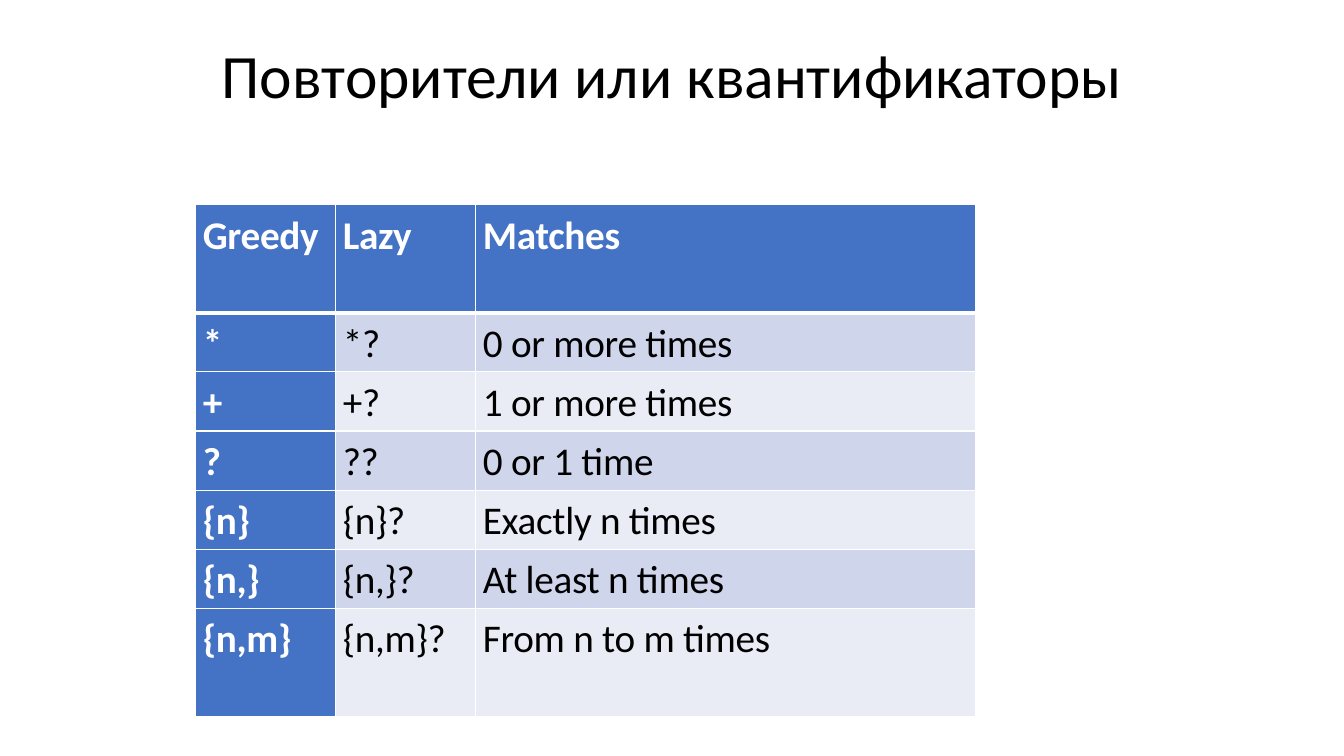
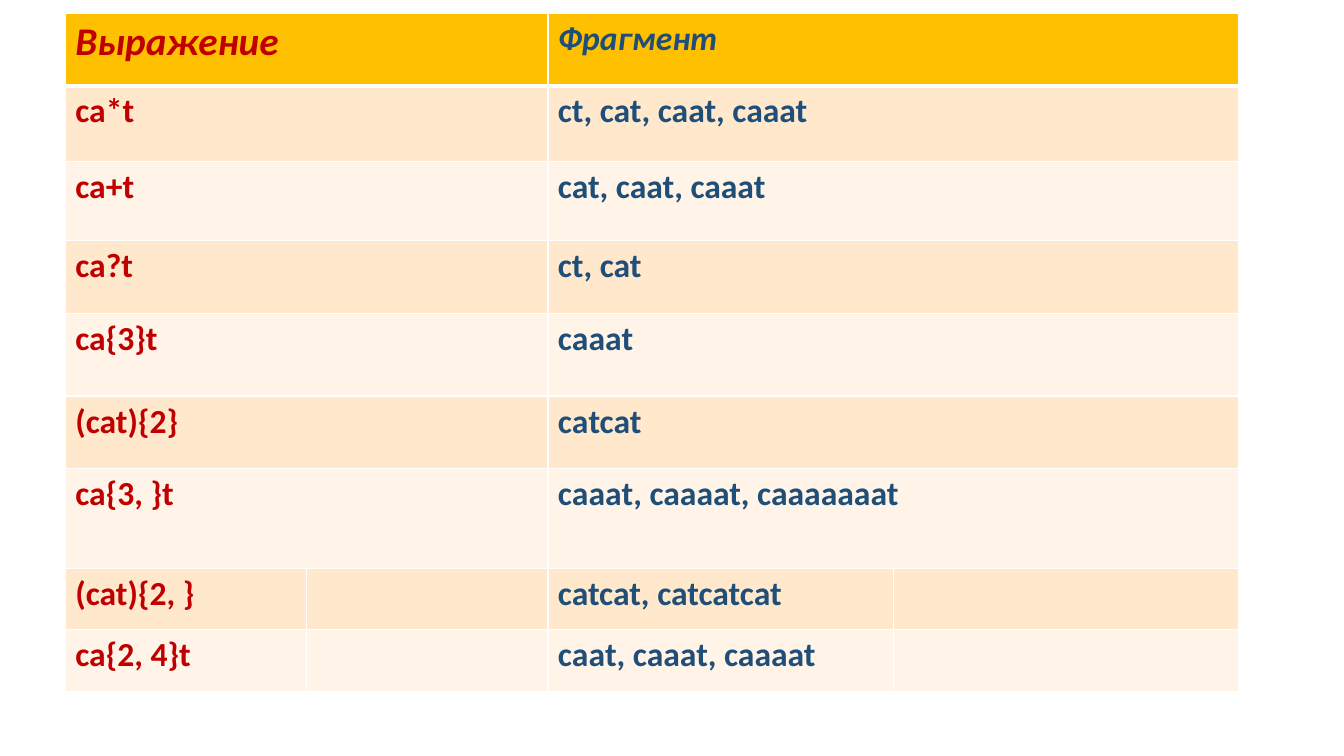
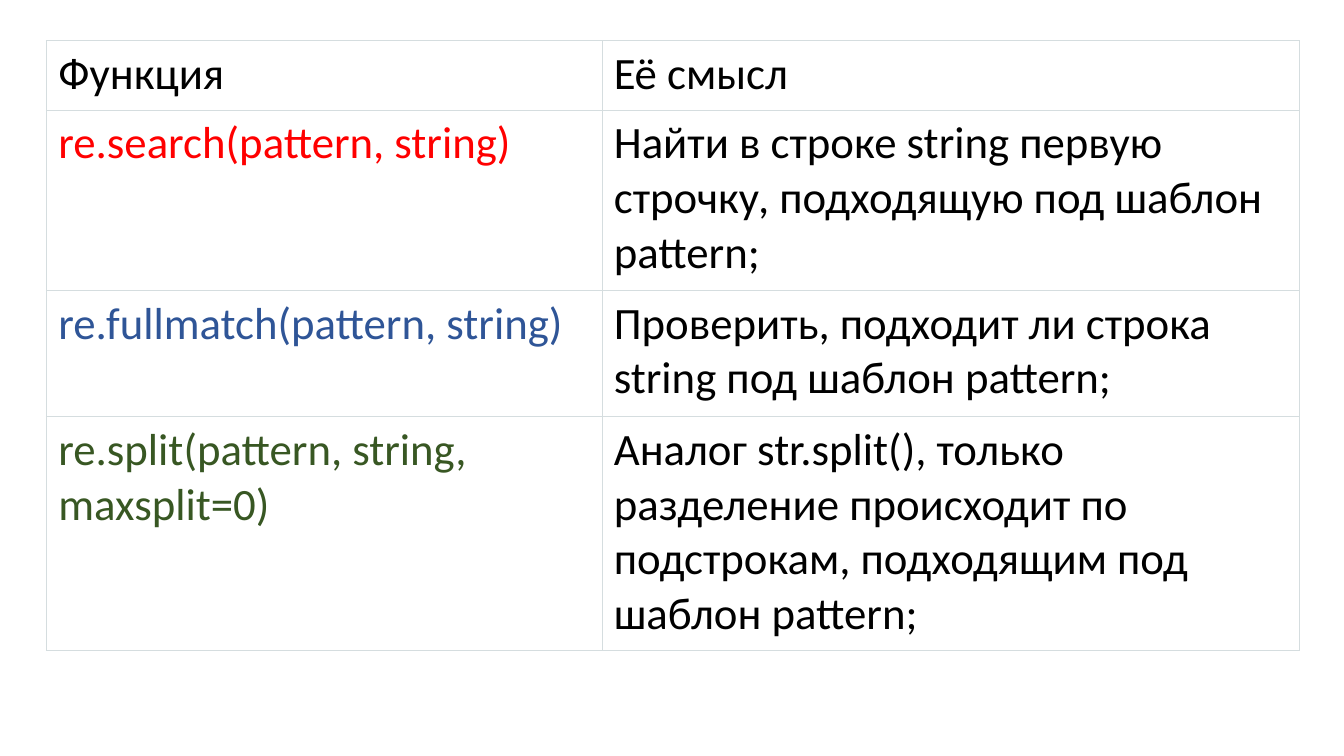
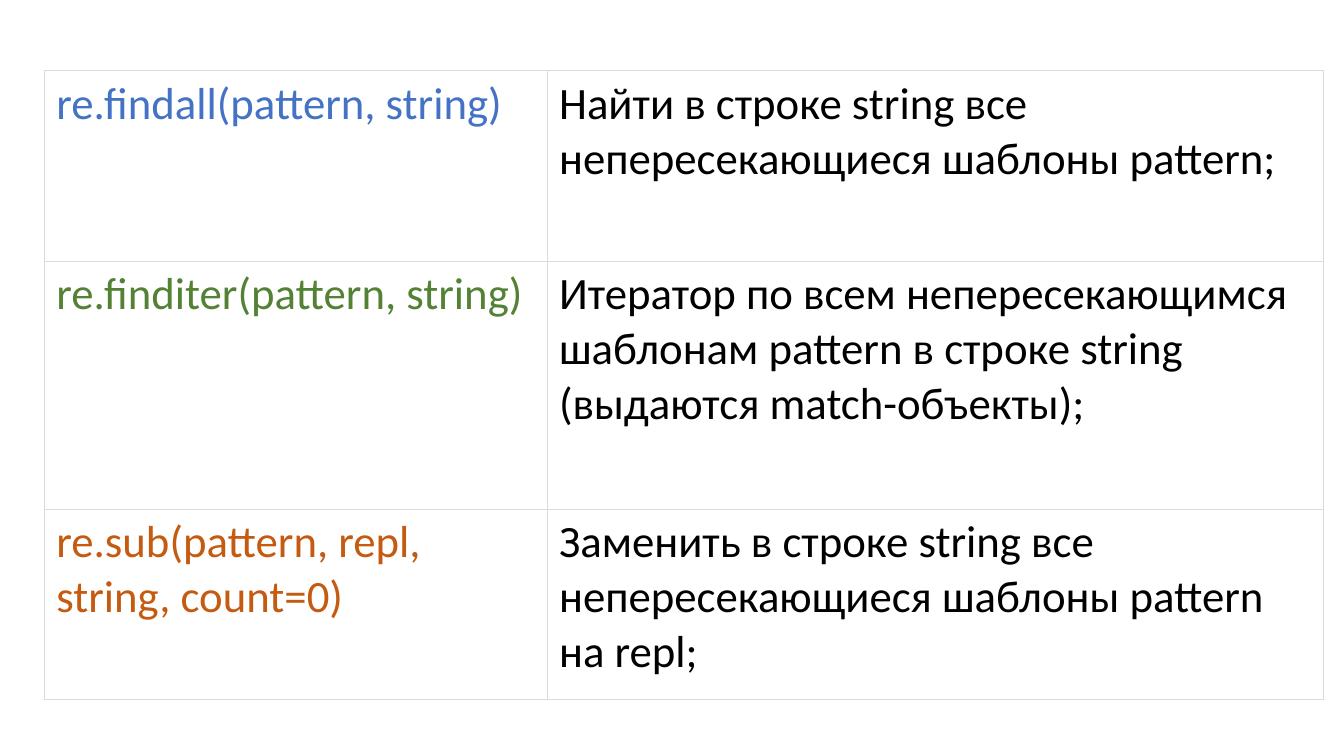
import dataclasses
import lxml.etree
import pptx
import pptx.dml.color
import pptx.enum.text
import pptx.oxml.ns
import pptx.util

Cm = pptx.util.Cm
Pt = pptx.util.Pt

FONT = "Calibri"
BLACK = "000000"
WHITE = "FFFFFF"
BLUE = "4472C4"
BLUE_BANDS = ("CFD5EA", "E9EBF5")
GOLD = "FFC000"
GOLD_BANDS = ("FFE8CC", "FFF4E7")
DARK_RED = "C00000"
NAVY = "1F4E79"
GREY_RULE = "D5DDDF"


@dataclasses.dataclass
class Look:
    rule_colour: str
    rule_width: float
    header_rule: float
    margins: tuple
    line_spacing: float = 1.0
    tracking: int = 0


@dataclasses.dataclass
class Entry:
    text: str
    fill: str
    colour: str
    font: dict


QUANTIFIER_LOOK = Look(WHITE, 1, 3, (0.18, 0, 0.18, 0), 1.15, -20)
EXAMPLE_LOOK = Look(WHITE, 1, 3, (0.25, 0.13, 0.25, 0.13))
FUNCTION_LOOK = Look(GREY_RULE, 0.75, 0.75, (0.3, 0.15, 0.3, 0.23))


def rgb(hex_colour):
    return pptx.dml.color.RGBColor.from_string(hex_colour)


def apply_format(target, values):
    for attribute, value in values.items():
        setattr(target, attribute, value)


def font_values(size, bold=False, italic=False):
    return {"name": FONT, "size": Pt(size), "bold": bold, "italic": italic}


def draw_rules(cell, colour, widths):
    properties = cell._tc.get_or_add_tcPr()
    for side, width in widths.items():
        rule = lxml.etree.SubElement(
            properties, pptx.oxml.ns.qn("a:ln" + side), w=str(Pt(width)))
        fill = lxml.etree.SubElement(rule, pptx.oxml.ns.qn("a:solidFill"))
        lxml.etree.SubElement(fill, pptx.oxml.ns.qn("a:srgbClr"), val=colour)


def fill_cell(cell, entry, look, row):
    left, top, right, bottom = (Cm(margin) for margin in look.margins)
    apply_format(cell, {
        "margin_left": left, "margin_top": top,
        "margin_right": right, "margin_bottom": bottom,
        "vertical_anchor": pptx.enum.text.MSO_ANCHOR.TOP,
    })
    draw_rules(cell, look.rule_colour, {
        "L": look.rule_width,
        "R": look.rule_width,
        "T": look.header_rule if row == 1 else look.rule_width,
        "B": look.header_rule if row == 0 else look.rule_width,
    })
    cell.fill.solid()
    cell.fill.fore_color.rgb = rgb(entry.fill)
    if not entry.text:
        return
    paragraph = cell.text_frame.paragraphs[0]
    paragraph.line_spacing = look.line_spacing
    run = paragraph.add_run()
    run.text = entry.text
    apply_format(run.font, entry.font)
    run.font.color.rgb = rgb(entry.colour)
    if look.tracking:
        run.font._element.set("spc", str(look.tracking))


def add_grid(slide, left, top, widths, heights, entries, look):
    grid = slide.shapes.add_table(
        len(heights), len(widths), Cm(left), Cm(top),
        Cm(sum(widths)), Cm(sum(heights))).table
    apply_format(grid, {"first_row": False, "horz_banding": False})
    for column, width in zip(grid.columns, widths):
        column.width = Cm(width)
    for row, height in zip(grid.rows, heights):
        row.height = Cm(height)
    for r, row_entries in enumerate(entries):
        for c, entry in enumerate(row_entries):
            fill_cell(grid.cell(r, c), entry, look, r)
    return grid


def add_heading(slide, text, left, top, width, height):
    heading = slide.shapes.title
    apply_format(heading, {"left": Cm(left), "top": Cm(top),
                           "width": Cm(width), "height": Cm(height)})
    heading.text_frame.text = text
    apply_format(heading.text_frame, {
        "word_wrap": True,
        "vertical_anchor": pptx.enum.text.MSO_ANCHOR.TOP,
    })
    paragraph = heading.text_frame.paragraphs[0]
    apply_format(paragraph, {"alignment": pptx.enum.text.PP_ALIGN.CENTER,
                             "line_spacing": 0.9})
    apply_format(paragraph.font, font_values(44))
    paragraph.font.color.rgb = rgb(BLACK)


def add_quantifiers(slide, left, top):
    rows = [
        ("Greedy", "Lazy", "Matches"),
        ("*", "*?", "0 or more times"),
        ("+", "+?", "1 or more times"),
        ("?", "??", "0 or 1 time"),
        ("{n}", "{n}?", "Exactly n times"),
        ("{n,}", "{n,}?", "At least n times"),
        ("{n,m}", "{n,m}?", "From n to m times"),
    ]
    entries = []
    for r, texts in enumerate(rows):
        band = BLUE_BANDS[(r - 1) % 2]
        entries.append([
            Entry(text, BLUE, WHITE, font_values(28, bold=True))
            if r == 0 or c == 0
            else Entry(text, band, BLACK, font_values(28))
            for c, text in enumerate(texts)])
    heights = [2.72] + [1.49] * 5 + [2.72]
    add_grid(slide, left, top, [3.53, 3.53, 12.6], heights, entries,
             QUANTIFIER_LOOK)


def add_examples(slide, left, top):
    rows = [
        ("Выражение", "Фрагмент"),
        ("ca*t", "ct, cat, caat, caaat"),
        ("ca+t", "cat, caat, caaat"),
        ("ca?t", "ct, cat"),
        ("ca{3}t", "cаааt"),
        ("(cat){2}", "cаtcat"),
        ("ca{3, }t", "cаааt, caaaat, caaaaaaat"),
        ("(cat){2, }", "catcat, catcatcat"),
        ("ca{2, 4}t", "cааt, caaat, caaaat"),
    ]
    entries = []
    for r, (expression, fragment) in enumerate(rows):
        header = r == 0
        fill = GOLD if header else GOLD_BANDS[(r - 1) % 2]
        font = font_values(24, bold=True, italic=header)
        expression_font = dict(font, size=Pt(28 if header else 24))
        blank = Entry("", fill, BLACK, font)
        entries.append([Entry(expression, fill, DARK_RED, expression_font),
                        blank, Entry(fragment, fill, NAVY, font), blank])
    heights = [1.83, 1.9, 2.01, 1.83, 2.08, 1.83, 2.51, 1.55, 1.55]
    grid = add_grid(slide, left, top, [6.08, 6.08, 8.7, 8.7], heights,
                    entries, EXAMPLE_LOOK)
    for r in range(7):
        for c in (0, 2):
            grid.cell(r, c).merge(grid.cell(r, c + 1))


def add_functions(slide, left, top, widths, heights, rows):
    font = font_values(32)
    entries = [[Entry(function, WHITE, colour, font),
                Entry(meaning, WHITE, BLACK, font)]
               for function, colour, meaning in rows]
    add_grid(slide, left, top, widths, heights, entries, FUNCTION_LOOK)


def main():
    deck = pptx.Presentation()
    apply_format(deck, {"slide_width": Cm(33.87), "slide_height": Cm(19.05)})
    title_only, blank = deck.slide_layouts[5], deck.slide_layouts[6]

    quantifiers = deck.slides.add_slide(title_only)
    add_heading(quantifiers, "Повторители или квантификаторы",
                2.34, 1.02, 29.21, 3.68)
    add_quantifiers(quantifiers, 4.93, 5.16)

    add_examples(deck.slides.add_slide(blank), 1.65, 0.33)

    add_functions(
        deck.slides.add_slide(blank), 1.17, 1.02, [14, 17.58],
        [1.76, 4.54, 3.18, 5.89], [
            ("Функция", BLACK, "Её смысл"),
            ("re.search(pattern, string)", "FF0000",
             "Найти в строке string первую строчку, "
             "подходящую под шаблон pattern;"),
            ("re.fullmatch(pattern, string)", "2F5597",
             "Проверить, подходит ли строка string под шаблон pattern;"),
            ("re.split(pattern, string, maxsplit=0)", "385723",
             "Аналог str.split(), только разделение происходит "
             "по подстрокам, подходящим под шаблон pattern;"),
        ])

    add_functions(
        deck.slides.add_slide(blank), 1.12, 1.78, [12.67, 19.55],
        [4.8, 6.25, 4.8], [
            ("re.findall(pattern, string)", BLUE,
             "Найти в строке string все непересекающиеся "
             "шаблоны pattern;"),
            ("re.finditer(pattern, string)", "548235",
             "Итератор по всем непересекающимся шаблонам pattern в "
             "cтроке string (выдаются match-объекты);"),
            ("re.sub(pattern, repl, string, count=0)", "C55A11",
             "Заменить в строке string все непересекающиеся "
             "шаблоны pattern на repl;"),
        ])

    deck.save("out.pptx")


if __name__ == "__main__":
    main()
